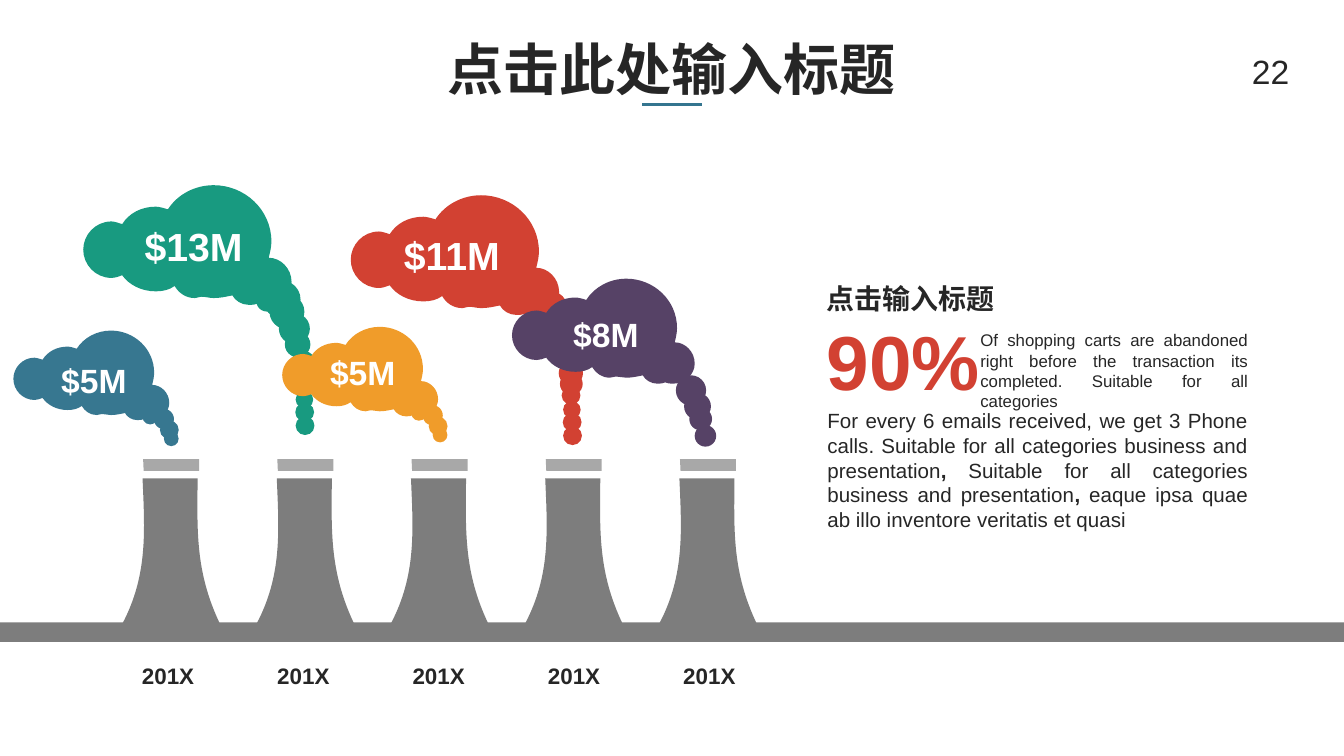
from pptx import Presentation
from pptx.dml.color import RGBColor
from pptx.enum.shapes import MSO_CONNECTOR, MSO_SHAPE
from pptx.enum.text import MSO_ANCHOR, PP_ALIGN
from pptx.oxml.ns import qn
from pptx.util import Pt
from lxml.etree import SubElement

COLORS = {
    "text": "262626", "white": "FFFFFF", "rule": "34758F",
    "tower": "7D7D7D", "cap": "A8A8A8",
    "blue": "377790", "green": "189A80", "orange": "F09C2A",
    "red": "D24132", "purple": "564266",
}

# Cloud outline: start point, then Bezier segments, on a grid 155 units wide
CLOUD_WIDTH = 155
CLOUD_START = (138, 54)
CLOUD_CURVES = [
    (139, 50, 140, 46, 140, 42), (140, 18, 120, 0, 97, 0),
    (83, 0, 70, 7, 63, 18), (60, 17, 56, 16, 54, 16),
    (43, 16, 34, 21, 29, 29), (26, 28, 23, 27, 21, 27),
    (9, 27, 0, 37, 0, 48), (0, 59, 9, 69, 21, 69),
    (24, 69, 26, 68, 29, 67), (34, 74, 43, 79, 54, 79),
    (59, 79, 64, 78, 68, 75), (71, 80, 76, 84, 83, 84),
    (84, 84, 87, 83, 88, 83), (91, 83, 94, 84, 97, 84),
    (102, 84, 106, 83, 111, 82), (113, 86, 118, 89, 123, 89),
    (126, 89, 128, 89, 130, 88), (132, 89, 134, 89, 137, 89),
    (147, 89, 155, 81, 155, 72), (155, 62, 147, 54, 138, 54),
]

# Tower outlines, relative to the left end of the foot
TOWER_START = (0, 77.8)
TOWER_CURVES = [(52.2, 77.8), (39.2, 50.4, 40, 28.8, 40.3, 0),
                (10.8, 0), (12, 28.1, 13.7, 51.8, 0, 77.8)]
CAP_START = (11.4, 6.3)
CAP_CURVES = [(11.1, 0), (41.1, 0), (41.1, 6.3)]

# Puffs of smoke: left, top, diameter, relative to their cloud
SMALL_TRAIL = [(69.1, 42, 8.3), (75.2, 42, 10.8), (78.5, 48.2, 10.1), (80.6, 54, 7.9)]
MEDIUM_TRAIL = [(87.8, 51.8, 16.2), (92.2, 61.2, 14.4), (95, 69.1, 12.2), (97.9, 78.5, 11.5)]
LARGE_TRAIL = [
    (92.7, 56.5, 11.2), (96.2, 51.1, 20.2), (99.8, 58.5, 18.7), (104.8, 68.6, 16.6),
    (108, 78.5, 13.7), (111.4, 88.8, 13), (112.1, 95, 12.2), (113, 102.2, 10.1),
    (113.8, 110.2, 9.4), (113.6, 116.6, 10.1), (113.8, 123.8, 10.1),
]

# Clouds from back to front: color, left, top, width, trail
CLOUDS = [
    ("blue", 7.2, 177.1, 83.5, SMALL_TRAIL),
    ("green", 44.6, 99.2, 111.6, LARGE_TRAIL),
    ("orange", 151.2, 175.1, 83.5, SMALL_TRAIL),
    ("red", 187.9, 104.6, 111.6, LARGE_TRAIL),
    ("purple", 274.3, 149.3, 97.9, MEDIUM_TRAIL),
]

# Cloud labels: text, left, top, width, height, size
AMOUNTS = [
    ("$13M", 72, 116.6, 66.2, 31, 21), ("$11M", 211, 121, 62.6, 31, 21),
    ("$8M", 301.7, 165.6, 47.5, 27.4, 18), ("$5M", 171.4, 185.8, 47.5, 27.4, 18),
    ("$5M", 27.4, 190.1, 47.5, 27.4, 18),
]

BODY = [
    ("For every 6 emails received, we get 3 Phone calls. Suitable for all "
     "categories business and presentation", False),
    (", ", True),
    ("Suitable for all categories business and presentation", False),
    (",", True),
    (" eaque ipsa quae ab illo inventore veritatis et quasi", False),
]


def color(name):
    return RGBColor.from_string(COLORS[name])


def paint(shape, fill):
    shape.shadow.inherit = False
    shape.fill.solid()
    shape.fill.fore_color.rgb = color(fill)
    shape.line.fill.background()


def add_preset(slide, kind, left, top, width, height, fill):
    paint(slide.shapes.add_shape(kind, Pt(left), Pt(top), Pt(width), Pt(height)), fill)


def bend(shape, segments):
    """Turn each three lines that stand for a Bezier segment into one curve."""
    outline = next(shape._element.iter(qn("a:path")))
    lines = iter(outline.findall(qn("a:lnTo")))
    for segment in segments:
        controls = [next(lines) for _ in range(len(segment) // 2)]
        if len(controls) == 3:
            curve = SubElement(outline, qn("a:cubicBezTo"))
            controls[0].addprevious(curve)
            for control in controls:
                curve.append(control[0])
                outline.remove(control)


def add_outline(slide, start, segments, left, top, fill, scale=1.0):
    points = [start]
    for segment in segments:
        points += zip(segment[::2], segment[1::2])
    placed = [(Pt(left + x * scale), Pt(top + y * scale)) for x, y in points]
    builder = slide.shapes.build_freeform(*placed[0], scale=1.0)
    builder.add_line_segments(placed[1:], close=True)
    shape = builder.convert_to_shape()
    bend(shape, segments)
    paint(shape, fill)


def add_text(slide, runs, left, top, width, height, size, fill="text", bold=False,
             align=PP_ALIGN.LEFT, wrap=True, anchor=MSO_ANCHOR.TOP):
    frame = slide.shapes.add_textbox(Pt(left), Pt(top), Pt(width), Pt(height)).text_frame
    layout = {"word_wrap": wrap, "vertical_anchor": anchor,
              "margin_left": Pt(5.4), "margin_right": Pt(5.4),
              "margin_top": Pt(2.7), "margin_bottom": Pt(2.7)}
    for name, value in layout.items():
        setattr(frame, name, value)
    paragraph = frame.paragraphs[0]
    paragraph.alignment = align
    for words, strong in [(runs, bold)] if isinstance(runs, str) else runs:
        run = paragraph.add_run()
        run.text = words
        for name, value in {"name": "Arial", "size": Pt(size), "bold": strong}.items():
            setattr(run.font, name, value)
        run.font.color.rgb = color(fill)


def add_rule(slide, left, right, y):
    rule = slide.shapes.add_connector(MSO_CONNECTOR.STRAIGHT, Pt(left), Pt(y), Pt(right), Pt(y))
    rule.line.width = Pt(2)
    rule.line.color.rgb = color("rule")
    SubElement(rule._element.spPr, qn("a:effectLst"))


def add_tower(slide, left):
    add_outline(slide, CAP_START, CAP_CURVES, left, 246, "cap")
    add_outline(slide, TOWER_START, TOWER_CURVES, left, 256.3, "tower")


def add_cloud(slide, fill, left, top, width, trail):
    add_outline(slide, CLOUD_START, CLOUD_CURVES, left, top, fill, width / CLOUD_WIDTH)
    for x, y, diameter in trail:
        add_preset(slide, MSO_SHAPE.OVAL, left + x, top + y, diameter, diameter, fill)


def main():
    deck = Presentation()
    deck.slide_width, deck.slide_height = Pt(720), Pt(405)
    slide = deck.slides.add_slide(deck.slide_layouts[6])

    # Heading
    add_rule(slide, 344, 376, 56)
    add_text(slide, "点击此处输入标题", 49.7, 10.8, 620.6, 51.1, 30, bold=True,
             align=PP_ALIGN.CENTER, anchor=MSO_ANCHOR.MIDDLE)

    # Towers on the ground
    for column in range(5):
        add_tower(slide, 65.6 + 71.9 * column)
    add_preset(slide, MSO_SHAPE.RECTANGLE, 0, 333.4, 720, 10.5, "tower")

    # Smoke
    for cloud in CLOUDS:
        add_cloud(slide, *cloud)

    # Commentary
    add_text(slide, BODY, 437.8, 216, 236.2, 85.7, 11, align=PP_ALIGN.JUSTIFY)
    add_text(slide, "点击输入标题", 437.4, 148.3, 101.5, 23.8, 15, bold=True, wrap=False)
    add_text(slide, "Of shopping carts are abandoned right before the transaction its "
             "completed. Suitable for all categories", 519.8, 174.2, 154.1, 49, 9,
             align=PP_ALIGN.JUSTIFY)
    add_text(slide, "90%", 437.4, 165.6, 93.6, 55.4, 41, "red", bold=True, wrap=False)

    # Years and amounts
    for column in range(5):
        add_text(slide, "201X", 70.6 + 72.5 * column, 352.1, 38.9, 20.2, 12, bold=True,
                 align=PP_ALIGN.CENTER, wrap=False)
    for amount in AMOUNTS:
        add_text(slide, *amount, "white", bold=True, wrap=False)

    # Page number
    add_text(slide, "22", 665.3, 24.5, 38.2, 21.6, 18)

    deck.save("out.pptx")


if __name__ == "__main__":
    main()
